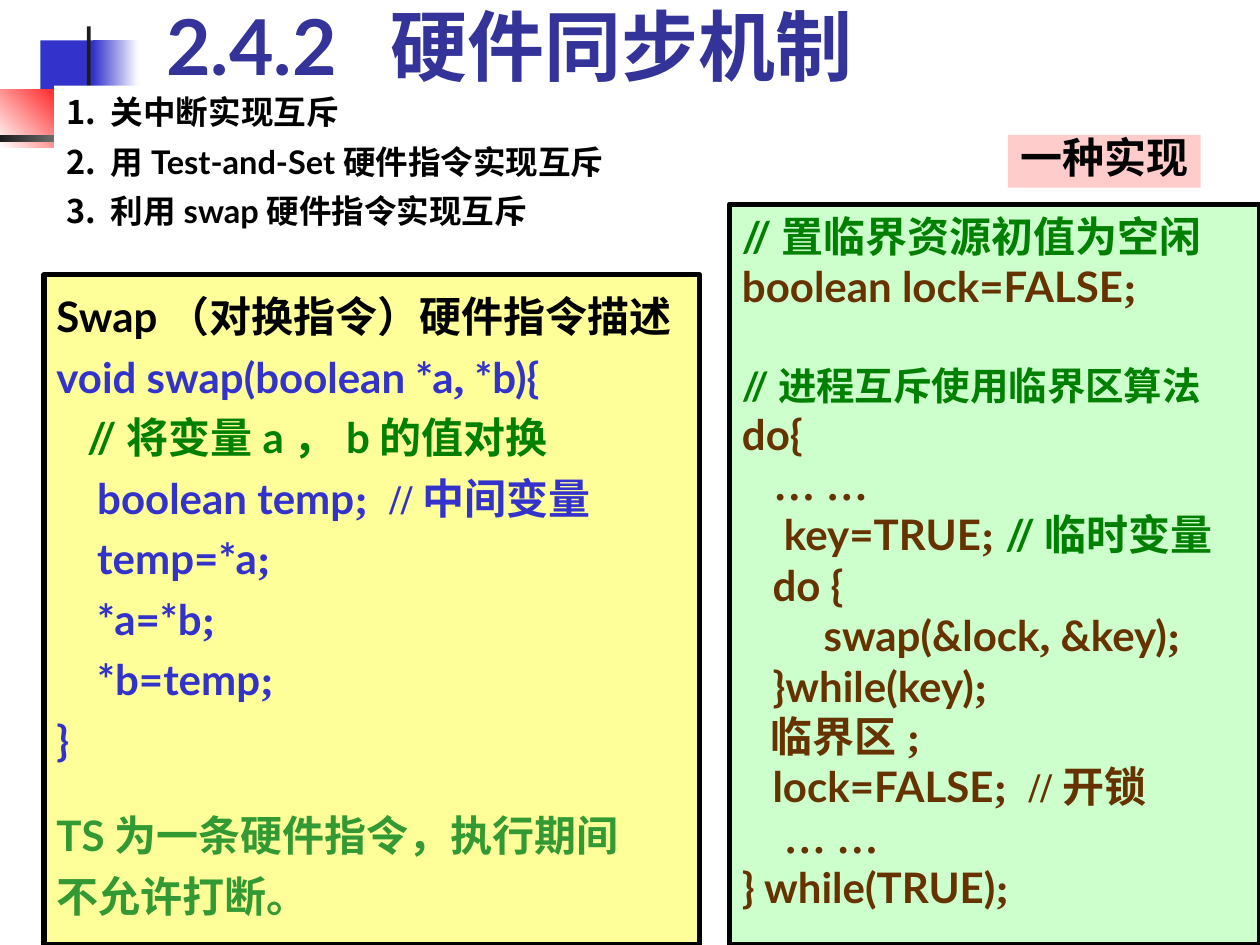
from dataclasses import dataclass

from lxml import etree
from pptx import Presentation
from pptx.dml.color import RGBColor
from pptx.enum.shapes import MSO_SHAPE
from pptx.enum.text import MSO_ANCHOR, MSO_AUTO_SIZE, PP_ALIGN
from pptx.oxml.ns import qn
from pptx.util import Inches, Pt

RECTANGLE = MSO_SHAPE.RECTANGLE
LEFT = PP_ALIGN.LEFT
TOP, BOTTOM = MSO_ANCHOR.TOP, MSO_ANCHOR.BOTTOM
FIXED = MSO_AUTO_SIZE.NONE


@dataclass(frozen=True)
class Theme:
    sans: str = "Lato"
    serif: str = "Times New Roman"
    black: str = "000000"
    white: str = "FFFFFF"
    title: str = "333399"
    blue: str = "3333CC"
    red: str = "FF0000"
    bar: str = "1C1C1C"
    comment: str = "008000"
    note: str = "339933"
    brown: str = "663300"
    yellow_panel: str = "FFFF99"
    green_panel: str = "CCFFCC"
    pink_label: str = "FFCCCC"
    title_size: float = 44
    list_size: float = 18.6
    code_size: float = 24
    small_code_size: float = 22


THEME = Theme()
SANS, SERIF = THEME.sans, THEME.serif
BLUE, BROWN, COMMENT, NOTE = THEME.blue, THEME.brown, THEME.comment, THEME.note

MECHANISMS = ["关中断实现互斥", "用Test-and-Set硬件指令实现互斥", "利用swap硬件指令实现互斥"]

SWAP_LINES = [
    [("Swap（对换指令）硬件指令描述", THEME.black)],
    [("void swap(boolean *a", BLUE), (",", BLUE, SERIF), (" *b){", BLUE)],
    [("   //将变量a，b的值对换", COMMENT)],
    [("    boolean temp", BLUE), (";  //中间变量", BLUE, SERIF)],
    [("    temp=*a", BLUE), (";", BLUE, SERIF)],
    [("    *a=*b", BLUE), (";", BLUE, SERIF)],
    [("    *b=temp", BLUE), (";", BLUE, SERIF)],
    [("}", BLUE)],
    [("TS为一条硬件指令，执行期间", NOTE)],
    [("不允许打断。", NOTE)],
]

MUTEX_LINES = [
    [("//置临界资源初值为空闲", COMMENT)],
    [("boolean lock=FALSE", BROWN), (";", BROWN, SERIF)],
    [("//进程互斥使用临界区算法", COMMENT, SANS, THEME.small_code_size)],
    [("do{", BROWN)],
    [("   … …", BROWN, SERIF)],
    [("    ", BROWN, SERIF), ("key=TRUE", BROWN), ("; ", BROWN, SERIF), ("//临时变量", COMMENT)],
    [("   do {", BROWN)],
    [("        swap(&lock", BROWN), (",", BROWN, SERIF), (" &key)", BROWN), (";", BROWN, SERIF)],
    [("   }while(key)", BROWN), (";", BROWN, SERIF)],
    [("   临界区", BROWN), (";", BROWN, SERIF)],
    [("   lock=FALSE", BROWN), (";  //开锁", BROWN, SERIF)],
    [("    … …", BROWN, SERIF)],
    [("} while(TRUE)", BROWN), (";", BROWN, SERIF)],
]


def write(paragraph, text, *, color=THEME.black, font=SANS, size=THEME.code_size):
    run = paragraph.add_run()
    run.text = text
    run.font.name = font
    run.font.size = Pt(size)
    run.font.bold = True
    run.font.color.rgb = RGBColor.from_string(color)


def place(item, left, top, width, height):
    item.left, item.top = Inches(left), Inches(top)
    item.width, item.height = Inches(width), Inches(height)


def paint(item, color):
    item.fill.solid()
    item.fill.fore_color.rgb = RGBColor.from_string(color)


def add_block(slide, box, colors, angle=0):
    block = slide.shapes.add_shape(RECTANGLE, *map(Inches, box))
    block.shadow.inherit = False
    block.line.fill.background()
    if len(colors) == 1:
        paint(block, colors[0])
        return
    block.fill.gradient()
    block.fill.gradient_angle = angle
    for stop, position, color in zip(block.fill.gradient_stops, (0, 1), colors):
        stop.position = position
        stop.color.rgb = RGBColor.from_string(color)


def add_ornament(slide):
    add_block(slide, (0.32, 0.32, 0.48, 0.52), [BLUE])
    add_block(slide, (0.74, 0.32, 0.36, 0.52), [BLUE, THEME.white])
    add_block(slide, (0, 0.71, 0.61, 0.46), [THEME.white, THEME.red], angle=45)
    add_block(slide, (0.69, 0.21, 0.03, 1.15), [THEME.bar])
    add_block(slide, (0, 1.07, 1.22, 0.06), [THEME.bar, THEME.white])


def bring_forward(placeholder):
    placeholder.element.getparent().append(placeholder.element)


def fill_title(title):
    place(title, 1.22, 0, 8.52, 0.77)
    bring_forward(title)
    frame = title.text_frame
    frame.auto_size = FIXED
    frame.vertical_anchor = BOTTOM
    heading = frame.paragraphs[0]
    heading.alignment = LEFT
    properties = heading._p.get_or_add_pPr()
    stops = etree.SubElement(properties, qn("a:tabLst"))
    etree.SubElement(stops, qn("a:tab"), pos=str(Inches(1.78)), algn="l")
    write(heading, "2.4.2\t硬件同步机制", color=THEME.title, size=THEME.title_size)


def number(paragraph, indent):
    properties = paragraph._p.get_or_add_pPr()
    properties.set("marL", str(indent))
    properties.set("indent", str(-indent))
    etree.SubElement(properties, qn("a:buFont"), typeface=SANS)
    etree.SubElement(properties, qn("a:buAutoNum"), type="arabicPeriod")


def fill_list(body, items):
    place(body, 0.43, 0.68, 9.25, 1.18)
    bring_forward(body)
    paint(body, THEME.white)
    frame = body.text_frame
    frame.auto_size = FIXED
    frame.vertical_anchor = TOP
    for index, item in enumerate(items):
        entry = frame.paragraphs[0] if index == 0 else frame.add_paragraph()
        entry.alignment = LEFT
        entry.space_before = Pt(6 if index else 0)
        number(entry, Inches(0.35))
        write(entry, item, size=THEME.list_size)


def add_panel(slide, box, lines, color, *, spacing=1.0, gaps=None, outlined=True, wrap=True):
    panel = slide.shapes.add_textbox(*map(Inches, box))
    paint(panel, color)
    if outlined:
        panel.line.color.rgb = RGBColor.from_string(THEME.black)
        panel.line.width = Pt(3)
    frame = panel.text_frame
    frame.word_wrap = wrap
    for index, pieces in enumerate(lines):
        line = frame.paragraphs[0] if index == 0 else frame.add_paragraph()
        line.line_spacing = spacing
        line.space_before = Pt((gaps or {}).get(index, 0))
        for text, ink, *rest in pieces:
            write(line, text, color=ink, **dict(zip(("font", "size"), rest)))


def main():
    deck = Presentation()
    deck.slide_width, deck.slide_height = Inches(10), Inches(7.5)
    slide = deck.slides.add_slide(deck.slide_layouts[1])
    add_ornament(slide)
    fill_title(slide.shapes.title)
    fill_list(slide.placeholders[1], MECHANISMS)
    add_panel(slide, (0.35, 2.18, 5.2, 5.32), SWAP_LINES, THEME.yellow_panel,
              spacing=1.2, gaps={8: 20})
    add_panel(slide, (5.79, 1.62, 4.21, 5.88), MUTEX_LINES, THEME.green_panel, gaps={2: 29})
    add_panel(slide, (8, 1.07, 1.53, 0.42), [[("一种实现", THEME.black)]], THEME.pink_label,
              spacing=0.8, outlined=False, wrap=False)
    deck.save("out.pptx")


if __name__ == "__main__":
    main()
